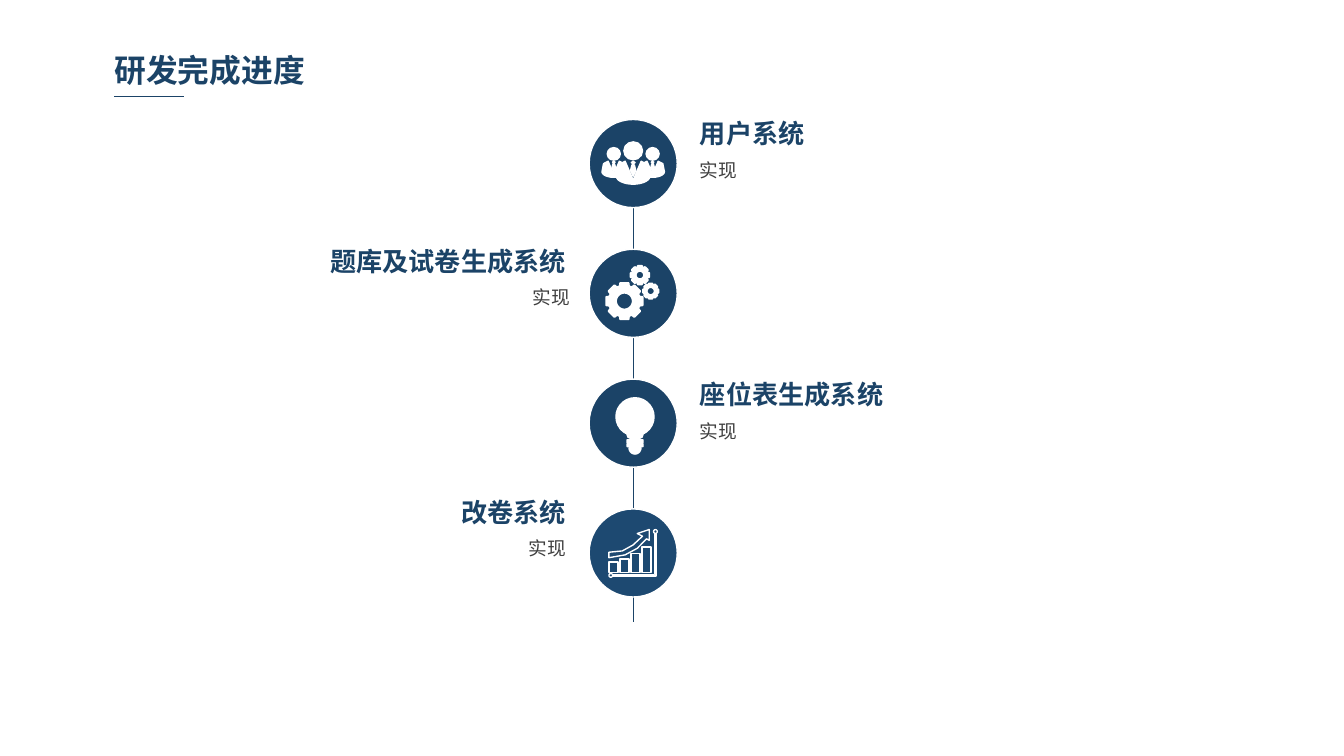
import math

import pptx
import pptx.dml.color
import pptx.enum.shapes
import pptx.enum.text
import pptx.oxml
import pptx.util

Pt = pptx.util.Pt
SHAPE = pptx.enum.shapes.MSO_SHAPE
ALIGN = pptx.enum.text.PP_ALIGN
FONT = "Noto Sans CJK SC"
NAVY, BLUE, WHITE, GRAY = "1B4367", "1D4971", "FFFFFF", "404040"


def rgb(value):
    """Return the colour for a hex string."""
    return pptx.dml.color.RGBColor.from_string(value)


def paint(sp, fill, width=0.75):
    """Fill a shape and outline it in white."""
    sp.shadow.inherit = False
    sp.fill.solid()
    sp.fill.fore_color.rgb = rgb(fill)
    sp.line.color.rgb = rgb(WHITE)
    sp.line.width = Pt(width)


def preset(s, kind, x, y, w, h, fill=WHITE):
    """Add a preset shape."""
    sp = s.shapes.add_shape(kind, Pt(x), Pt(y), Pt(w), Pt(h))
    paint(sp, fill)


def ellipse(s, x, y, rx, ry, fill=WHITE):
    """Add an ellipse around a centre."""
    preset(s, SHAPE.OVAL, x - rx, y - ry, 2 * rx, 2 * ry, fill)


def outline(s, x, y, contours, fill=WHITE, width=0.75, scale=1):
    """Add closed contours whose points are relative to (x, y)."""
    paths = [[(Pt(x + scale * px), Pt(y + scale * py)) for px, py in c] for c in contours]
    fb = s.shapes.build_freeform(*paths[0][0])
    fb.add_line_segments(paths[0][1:])
    for points in paths[1:]:
        fb.move_to(*points[0])
        fb.add_line_segments(points[1:])
    paint(fb.convert_to_shape(), fill, width)


def arc(x, y, rx, ry, start=0, end=360, n=24):
    """Return points along an elliptical arc, in degrees."""
    angles = [math.radians(start + (end - start) * i / n) for i in range(n + 1)]
    return [(x + rx * math.cos(a), y + ry * math.sin(a)) for a in angles]


def line(s, x1, y1, x2, y2):
    """Add a thin navy line."""
    c = s.shapes.add_connector(pptx.enum.shapes.MSO_CONNECTOR.STRAIGHT, Pt(x1), Pt(y1), Pt(x2), Pt(y2))
    c.line.color.rgb = rgb(NAVY)
    c.line.width = Pt(0.75)
    pr = c._element.spPr
    pr.append(pr.makeelement(pptx.oxml.ns.qn("a:effectLst"), {}))


def text(s, x, y, w, h, words, size, color, bold=False, align=None, spacing=None, inset=(7.2, 3.6)):
    """Add a one-paragraph text box."""
    tf = s.shapes.add_textbox(Pt(x), Pt(y), Pt(w), Pt(h)).text_frame
    tf.word_wrap = True
    tf.margin_left = tf.margin_right = Pt(inset[0])
    tf.margin_top = tf.margin_bottom = Pt(inset[1])
    tf.text = words
    p = tf.paragraphs[0]
    p.alignment = align
    if spacing:
        p.line_spacing = Pt(spacing)
    r = p.runs[0]
    r.font.size, r.font.bold, r.font.name = Pt(size), bold, FONT
    r.font.color.rgb = rgb(color)
    props = r._r.get_or_add_rPr()
    ea = props.makeelement(pptx.oxml.ns.qn("a:ea"), {"typeface": FONT})
    props.find(pptx.oxml.ns.qn("a:latin")).addnext(ea)


def people_icon(s, x, y):
    """Draw three people around a centre."""
    body = [(7.8, 1.9), (4.3, 0), (0, 10.1), (-4.3, 0), (-7.8, 1.9)]
    body += arc(0, 8, 9, 4.3, 180, 0)
    knot = [(0, 0), (1, 0.7), (0, 1.4), (-1, 0.7)]
    tie = [(0.7, 2.2), (0, 1.4), (-0.7, 2.2), (-1.4, 5), (0, 8), (1.4, 5)]
    for dx, scale in ((0, 1), (10.4, 0.7), (-10.4, 0.7)):
        ellipse(s, x + dx, y - 1.3 - 5.5 * scale, 5 * scale, 4.8 * scale)
        for part in (body, knot, tie):
            outline(s, x + dx, y - 1.2, [part], scale=scale)


def gears_icon(s, x, y):
    """Draw three meshing gears around a centre."""
    tooth = ((-17, 0.84), (-13, 1), (13, 1), (17, 0.84))
    for dx, dy, radius, hole in ((-4.7, 4.2, 10, 4.5), (3.6, -9.8, 5.1, 2.2), (9.4, -1.2, 4.2, 2.1)):
        polar = [(math.radians(45 * k + a), radius * f) for k in range(8) for a, f in tooth]
        rim = [(q * math.cos(a), q * math.sin(a)) for a, q in polar]
        outline(s, x + dx, y + dy, [rim, arc(0, 0, hole, hole, 360, 0)], width=1)


def bulb_icon(s, x, y):
    """Draw a light bulb around a centre."""
    x += 1
    outline(s, x, y, [arc(0, 13.2, 3.2, 3.4, 0, 180)])
    for top in (8.9, 11):
        preset(s, SHAPE.ROUNDED_RECTANGLE, x - 4.3, y + top, 8.6, 1.6)
    neck = [(-4.3, 6), (-3.8, 7.5), (-2.5, 8.1), (2.5, 8.1), (3.8, 7.5), (4.3, 6)]
    outline(s, x, y, [arc(0, -3.4, 10.2, 10.2, 66, -246) + neck])


def chart_icon(s, x, y):
    """Draw rising bars, axes and an arrow around a centre."""
    arrow = [(8.6, -6.8), (8.6, -12.6), (2.2, -10.4), (5, -9), (0, -4.3), (-5.8, -1.1),
             (-13, -0.4), (-13, 2.5), (-4.3, 1), (2.2, -2.5), (7.2, -7.6)]
    outline(s, x, y, [arrow], BLUE)
    for i, height in enumerate((5.6, 7.2, 10.1, 13.7)):
        preset(s, SHAPE.RECTANGLE, x - 13 + 5.9 * i, y + 10.4 - height, 5, height, BLUE)
    axes = [(12.2, -10.5), (12.2, 12.4), (-11, 12.4), (-11, 11.7), (11.5, 11.7), (11.5, -10.5)]
    outline(s, x, y, [axes], BLUE)
    for dx, dy in ((11.9, -11.5), (-12, 12)):
        ellipse(s, x + dx, y + dy, 1, 1, BLUE)


def heading(s, x, y, w, h):
    """Place the slide title and its rule."""
    text(s, x, y, w, h, "研发完成进度", 17, NAVY, True, inset=(5.04, 2.88))
    line(s, x + 5, y + 27.4, x + 42.5, y + 27.4)


def stage(s, x, y, icon, fill):
    """Place a timeline circle with its icon."""
    ellipse(s, x, y, 23.6, 23.6, fill)
    icon(s, x, y)


def label(s, x, y, title_w, note_w, title, note, right):
    """Place a stage title and note, starting or ending at x."""
    align = ALIGN.RIGHT if right else None
    title_x, note_x = (x - 2.2 - title_w, x - note_w) if right else (x, x)
    text(s, note_x, y + 17.2, note_w, 21, note, 10, GRAY, align=align, spacing=15)
    text(s, title_x, y, title_w, 22.3, title, 14, NAVY, True, align, 15)


def timeline(s, x, y, pitch):
    """Place the four stages down a vertical line."""
    stages = [
        (people_icon, NAVY, -26.4, 113.8, 212.4, "用户系统", "实现"),
        (gears_icon, NAVY, -27.5, 143.3, 212.4, "题库及试卷生成系统", "实现"),
        (bulb_icon, NAVY, -25.7, 123.1, 212.4, "座位表生成系统", "实现"),
        (chart_icon, BLUE, -32.3, 109.4, 236.2, "改卷系统", "实现 "),
    ]
    line(s, x + 0.2, y - 18.5, x + 0.2, y + 245.8)
    for i, (icon, fill, dy, title_w, note_w, title, note) in enumerate(stages):
        cy, right = y + i * pitch, i % 2 == 1
        stage(s, x, cy, icon, fill)
        label(s, x - 26.7 if right else x + 28.7, cy + dy, title_w, note_w, title, note, right)


def main():
    """Build and save the slide."""
    prs = pptx.Presentation()
    prs.slide_width, prs.slide_height = Pt(720), Pt(405)
    s = prs.slides.add_slide(prs.slide_layouts[6])
    timeline(s, 339.2, 87.6, 69.55)
    heading(s, 56.2, 24.4, 177.8, 26)
    prs.save("out.pptx")


if __name__ == "__main__":
    main()
